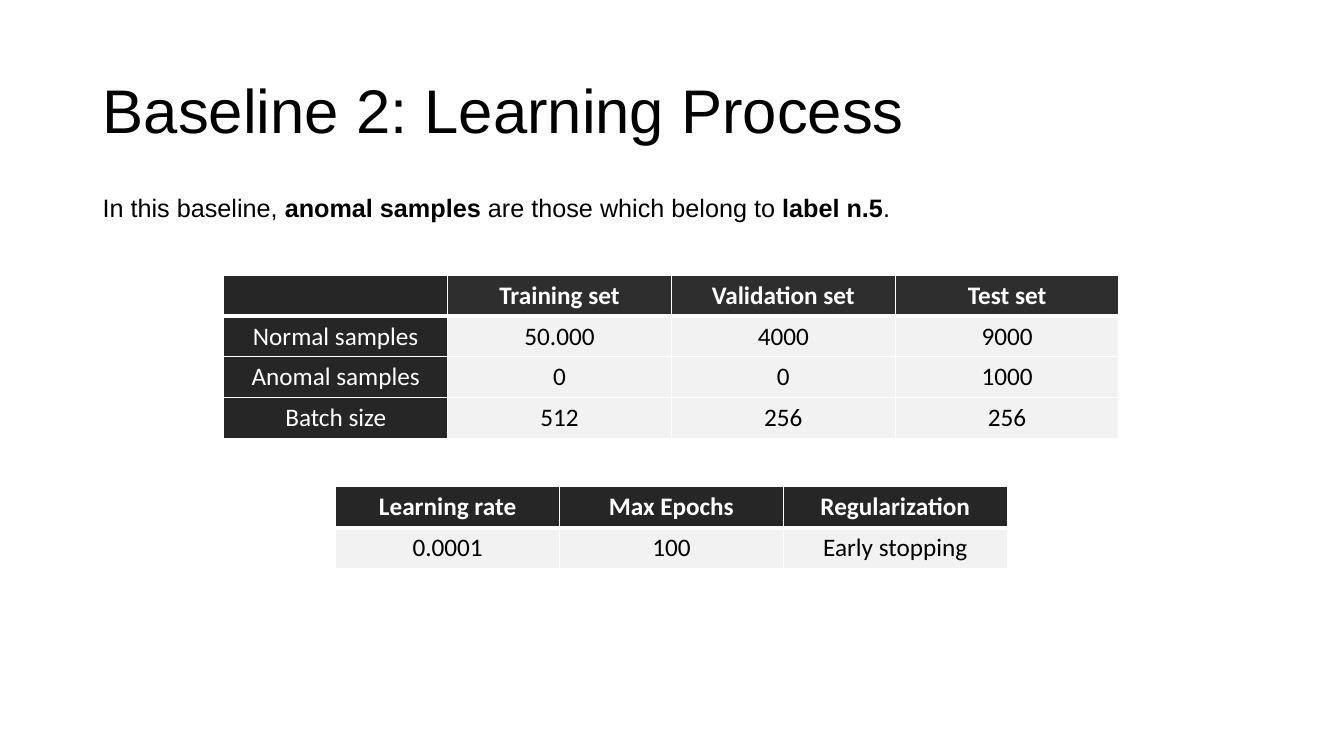
from lxml.etree import SubElement
from pptx import Presentation
from pptx.dml.color import RGBColor
from pptx.enum.text import MSO_ANCHOR, MSO_AUTO_SIZE, PP_ALIGN
from pptx.oxml.ns import qn
from pptx.util import Inches, Pt

BLACK, WHITE = "000000", "FFFFFF"
DARK, LIGHT = "262626", "F2F2F2"
COLUMN_WIDTH, ROW_HEIGHT = 2.22, 0.405


def colour(value):
    return RGBColor.from_string(value)


def add_span(para, text, size=18, font="Arial", fill=BLACK, bold=False):
    span = para.add_run()
    span.text = text
    span.font.size = Pt(size)
    span.font.name = font
    span.font.bold = bold
    span.font.color.rgb = colour(fill)


def place(shape, left, top, width, height):
    shape.left, shape.top = Inches(left), Inches(top)
    shape.width, shape.height = Inches(width), Inches(height)


def add_title(page, text):
    title = page.shapes.title
    place(title, 0.92, 0.4, 11.5, 1.45)
    title.text_frame.vertical_anchor = MSO_ANCHOR.MIDDLE
    para = title.text_frame.paragraphs[0]
    para.alignment = PP_ALIGN.LEFT
    para.line_spacing = 0.9
    add_span(para, text, size=44)


def add_sentence(page, parts):
    box = page.shapes.add_textbox(Inches(0.92), Inches(1.86), Inches(10.44), Inches(0.4))
    box.text_frame.word_wrap = True
    box.text_frame.auto_size = MSO_AUTO_SIZE.SHAPE_TO_FIT_TEXT
    for text, bold in parts:
        add_span(box.text_frame.paragraphs[0], text, bold=bold)


def set_borders(cell, **widths):
    properties = cell._tc.get_or_add_tcPr()
    for side in ("L", "R", "T", "B"):
        line = SubElement(properties, qn(f"a:ln{side}"), w=str(Pt(widths.get(side, 1))))
        fill = SubElement(line, qn("a:solidFill"))
        SubElement(fill, qn("a:srgbClr"), val=WHITE)


def set_fill(cell, value, opacity=100):
    cell.fill.solid()
    cell.fill.fore_color.rgb = colour(value)
    if opacity < 100:
        tint = cell._tc.tcPr.find(f"{qn('a:solidFill')}/{qn('a:srgbClr')}")
        SubElement(tint, qn("a:alpha"), val=str(opacity * 1000))


def add_grid(page, rows, left, top, row_labels=False, header_opacity=100):
    columns = len(rows[0])
    frame = page.shapes.add_table(
        len(rows), columns, Inches(left), Inches(top),
        Inches(COLUMN_WIDTH * columns), Inches(ROW_HEIGHT * len(rows)))
    table = frame.table
    table.horz_banding = False
    table.first_col = row_labels
    for column in table.columns:
        column.width = Inches(COLUMN_WIDTH)
    for r, values in enumerate(rows):
        table.rows[r].height = Inches(ROW_HEIGHT)
        for c, text in enumerate(values):
            cell = table.cell(r, c)
            header = r == 0
            label = row_labels and c == 0
            dark = header or label
            # The rule under the header is thicker than the others
            set_borders(cell, B=3 if header else 1, T=3 if r == 1 else 1)
            set_fill(cell, DARK if dark else LIGHT,
                     header_opacity if header and not label else 100)
            para = cell.text_frame.paragraphs[0]
            para.alignment = PP_ALIGN.CENTER
            if text:
                add_span(para, text, font="Calibri", bold=header,
                         fill=WHITE if dark else BLACK)


def main():
    deck = Presentation()
    deck.slide_width, deck.slide_height = Inches(13.33), Inches(7.5)
    page = deck.slides.add_slide(deck.slide_layouts[5])

    # Heading and introduction
    add_title(page, "Baseline 2: Learning Process")
    add_sentence(page, [
        ("In this baseline, ", False),
        ("anomal samples ", True),
        ("are those which belong to ", False),
        ("label n.5", True),
        (".", False),
    ])

    # Data split
    add_grid(page, [
        ["", "Training set", "Validation set", "Test set"],
        ["Normal samples", "50.000", "4000", "9000"],
        ["Anomal samples", "0", "0", "1000"],
        ["Batch size", "512", "256", "256"],
    ], 2.22, 2.73, row_labels=True, header_opacity=96)

    # Training settings
    add_grid(page, [
        ["Learning rate", "Max Epochs", "Regularization"],
        ["0.0001", "100", "Early stopping"],
    ], 3.33, 4.83)

    deck.save("out.pptx")


if __name__ == "__main__":
    main()
